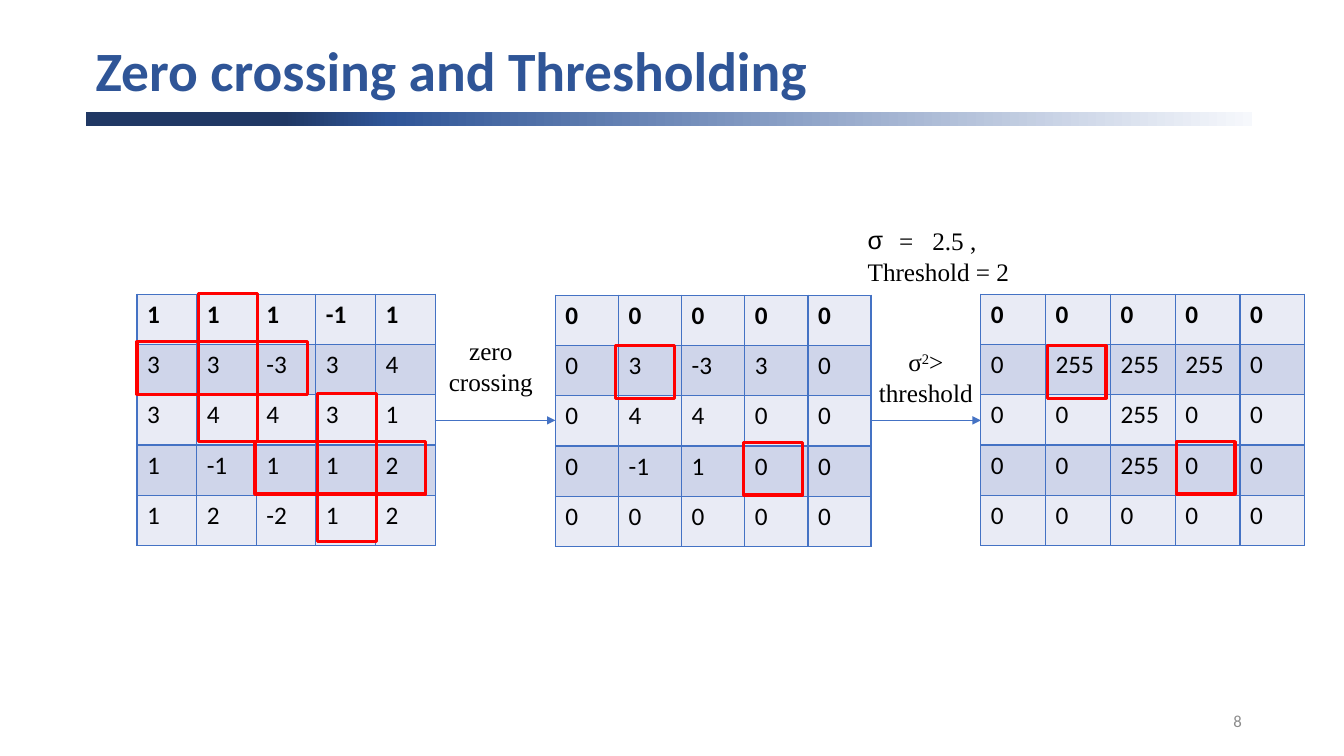
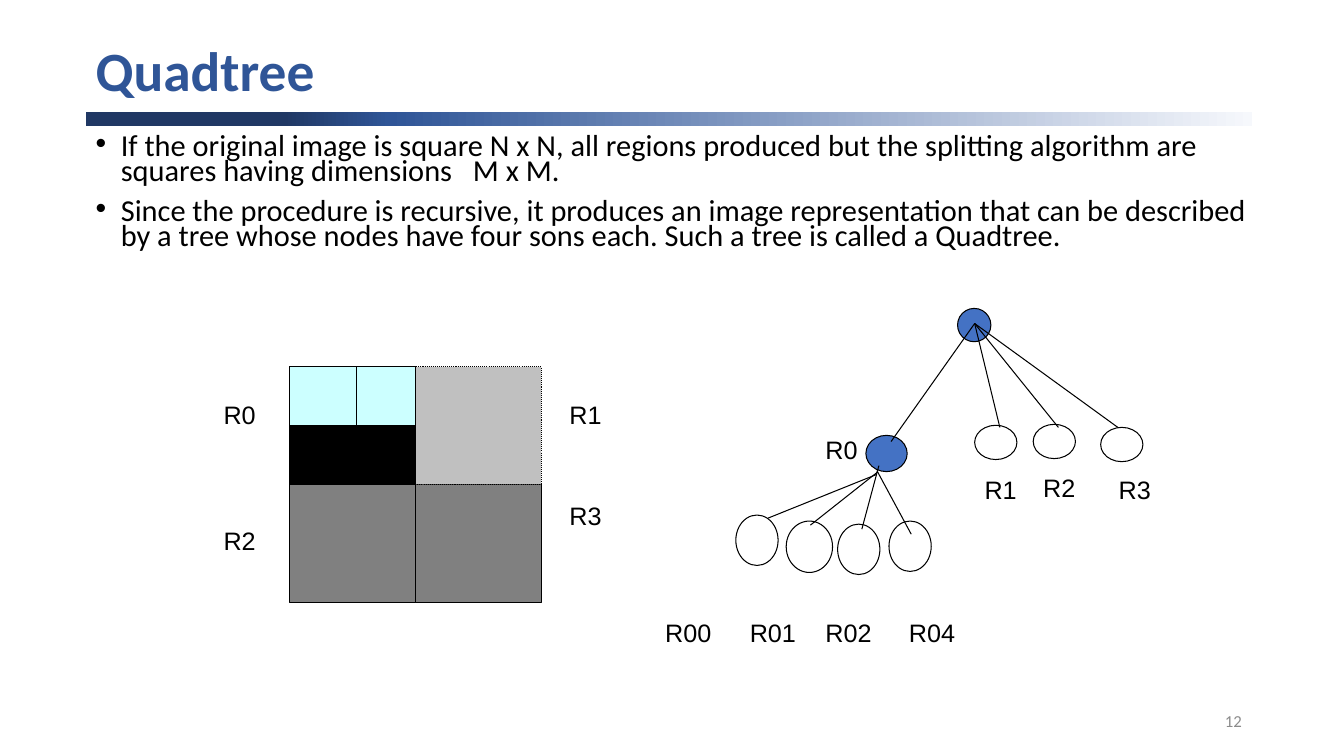
from lxml.etree import SubElement
from pptx import Presentation
from pptx.dml.color import RGBColor
from pptx.enum.dml import MSO_LINE
from pptx.enum.shapes import MSO_CONNECTOR, MSO_SHAPE
from pptx.enum.text import MSO_ANCHOR, PP_ALIGN
from pptx.oxml.ns import qn
from pptx.util import Pt


class Theme:
    navy, title, blue, pale = "203864", "2F5597", "4472C4", "F6F8FC"
    black, white, grey, red = "000000", "FFFFFF", "8C8C8C", "FF0000"
    light, dark = "E9EBF5", "CFD5EA"
    cyan, silver, stone = "CCFFFF", "C0C0C0", "808080"
    sans, serif, plain = "Calibri", "Times New Roman", "Arial"
    head, body, text, foot = 39.6, 21.7, 18, 12
    thin, line, edge, mark = 0.5, 0.75, 1, 2.25


# Content: number grids as (left, top, column width, rows)
GRIDS = [
    (97.9, 210.2, 42.6, ["1 1 1 -1 1", "3 3 -3 3 4", "3 4 4 3 1",
                         "1 -1 1 1 2", "1 2 -2 1 2"]),
    (396.7, 210.9, 45.1, ["0 0 0 0 0", "0 3 -3 3 0", "0 4 4 0 0",
                          "0 -1 1 0 0", "0 0 0 0 0"]),
    (700.6, 210.2, 46.3, ["0 0 0 0 0", "0 255 255 255 0", "0 0 255 0 0",
                          "0 0 255 0 0", "0 0 0 0 0"]),
]
ROW = 35.9
ARROWS = [(310.5, 396.7), (622, 700.6)]
ARROW_Y = 300.3

# Red marks: size, then corners
MARKS = [
    ((42, 106), [(141.8, 209.5), (226.8, 280.8)]),
    ((122, 37.5), [(97.9, 244.1), (182.2, 315.4)]),
    ((42, 37.5), [(439.9, 247), (531.4, 316.1), (748.1, 247), (840.2, 315.4)]),
]

# Runs are text, or text with run attributes
NOTES = [
    ((298.1, 236.2, 105, 52.6), ["zero", "crossing"], PP_ALIGN.CENTER, None),
    ((617.8, 244.1, 87, 51.1),
     [["σ", ("2", {"baseline": "30000"}), ">"], "threshold"],
     PP_ALIGN.CENTER, None),
    ((612.7, 157.7, 130, 51.1),
     [["=", (" ", {"spc": "900"}), "2.5 ,"], "Threshold = 2"],
     PP_ALIGN.LEFT, ("σ", 22.5, 1)),
]

POINTS = [
    ["If the original image is square N x N, all regions produced but the "
     "splitting algorithm are squares having dimensions",
     (" ", {"spc": "980"}), "M x M."],
    "Since the procedure is recursive, it produces an image representation "
    "that can be described by a tree whose nodes have four sons each. "
    "Such a tree is called a Quadtree.",
]

# Split square: corner, quadrant size, width of the first inner column
LEFT, TOP, WIDE, HIGH, INNER = 206.6, 262.1, 90, 84, 48

# Tree
NODES = [
    (Theme.white, [(525.6, 367.9, 30.2, 36), (635, 372.2, 30.2, 36),
                   (598.3, 374.4, 30.2, 36), (561.6, 372.2, 33.1, 36.7),
                   (696.2, 303.8, 30.2, 24.5), (738, 303.1, 30.2, 24.5),
                   (786.2, 305.3, 30.2, 24.5)]),
    (Theme.blue, [(684, 220.3, 23.8, 23.8), (618.5, 311, 29.5, 25.9)]),
]
ROOT = (696.2, 231.1)
EDGES = [(ROOT, end) for end in
         [(714.2, 305.3), (756, 305.3), (798.5, 305.3), (636.5, 315.4)]] + [
    ((625.7, 339.1), (548.6, 370.1)), ((627.1, 337), (578.9, 375.1)),
    ((627.8, 332.6), (615.6, 378)), ((626.4, 336.2), (650.9, 381.6)),
]
LABELS = [
    ("R0", 152.6, 282), ("R1", 399.6, 282), ("R2", 152.6, 372),
    ("R3", 399.6, 354), ("R0", 582.5, 306.5), ("R1", 696.2, 335.3),
    ("R2", 738, 334), ("R3", 792, 335.3), ("R00", 468, 437.6),
    ("R01", 528.5, 437.6), ("R02", 582.5, 437.6), ("R04", 642.2, 437.6),
]


def color(code):
    return RGBColor.from_string(code)


def style(font, face, size, code=Theme.black, bold=False):
    font.name, font.size, font.bold = face, Pt(size), bold
    font.color.rgb = color(code)


def write(page, area, lines, face, size, code=Theme.black, bold=False,
          align=PP_ALIGN.LEFT, anchor=MSO_ANCHOR.TOP, bullet=None,
          space=None, before=None):
    """Add a text box; bullet is (sign, indent, number of paragraphs)."""
    frame = page.shapes.add_textbox(*map(Pt, area)).text_frame
    frame.word_wrap, frame.vertical_anchor = True, anchor
    for i, line in enumerate(lines):
        para = frame.paragraphs[0] if i == 0 else frame.add_paragraph()
        for item in [line] if isinstance(line, str) else line:
            text, extra = (item, {}) if isinstance(item, str) else item
            run = para.add_run()
            run.text = text
            for key, value in extra.items():
                run._r.get_or_add_rPr().set(key, value)
        if bullet and i < bullet[2]:
            props = para._p.get_or_add_pPr()
            props.set("marL", str(Pt(bullet[1])))
            props.set("indent", str(-Pt(bullet[1])))
            SubElement(props, qn("a:buFont")).set("typeface", Theme.plain)
            SubElement(props, qn("a:buChar")).set("char", bullet[0])
        para.alignment = align
        if space:
            para.line_spacing = space
        if before:
            para.space_before = Pt(before)
        style(para.font, face, size, code, bold)


def draw(page, kind, area, fill=None, edge=Theme.black, width=Theme.line):
    shape = page.shapes.add_shape(kind, *map(Pt, area))
    shape.shadow.inherit = False
    if fill:
        shape.fill.solid()
        shape.fill.fore_color.rgb = color(fill)
    else:
        shape.fill.background()
    shape.line.color.rgb = color(edge)
    shape.line.width = Pt(width)
    return shape


def link(page, start, end, code=Theme.black, width=Theme.line, arrow=False):
    line = page.shapes.add_connector(MSO_CONNECTOR.STRAIGHT,
                                     *map(Pt, start + end))
    line.line.color.rgb = color(code)
    line.line.width = Pt(width)
    if arrow:
        tip = SubElement(line.line._get_or_add_ln(), qn("a:tailEnd"))
        tip.set("type", "triangle")
    SubElement(line._element.spPr, qn("a:effectLst"))


def band(page):
    shape = page.shapes.add_shape(MSO_SHAPE.RECTANGLE,
                                  *map(Pt, (61.2, 79.9, 833, 10)))
    shape.shadow.inherit = False
    shape.line.fill.background()
    shape.fill.gradient()
    shape.fill.gradient_angle = 0
    stops = shape._element.spPr.find(".//" + qn("a:gsLst"))
    stops.clear()
    for place, code in [(0, Theme.navy), (17, Theme.navy),
                        (26, Theme.title), (100, Theme.pale)]:
        stop = SubElement(stops, qn("a:gs"), pos=str(place * 1000))
        SubElement(stop, qn("a:srgbClr"), val=code)


def start(deck, title, number):
    """Add a slide with the shared band, title and page number."""
    page = deck.slides.add_slide(deck.slide_layouts[6])
    band(page)
    write(page, (61.2, 28.8, 874, 47.5), [title], Theme.sans, Theme.head,
          Theme.title, True, anchor=MSO_ANCHOR.MIDDLE, space=0.9)
    write(page, (678.2, 500.4, 216, 28.8), [number], Theme.sans, Theme.foot,
          Theme.grey, align=PP_ALIGN.RIGHT, anchor=MSO_ANCHOR.MIDDLE)
    return page


def border(cell):
    props = cell._tc.get_or_add_tcPr()
    for i, side in enumerate(("lnL", "lnR", "lnT", "lnB")):
        line = props.makeelement(qn("a:" + side), {"w": str(Pt(Theme.edge))})
        fill = SubElement(line, qn("a:solidFill"))
        SubElement(fill, qn("a:srgbClr"), val=Theme.blue)
        props.insert(i, line)


def grid(page, left, top, width, rows):
    cells = [row.split() for row in rows]
    high, wide = len(cells), len(cells[0])
    table = page.shapes.add_table(high, wide, Pt(left), Pt(top),
                                  Pt(width * wide), Pt(ROW * high)).table
    for col in table.columns:
        col.width = Pt(width)
    for r, row in enumerate(cells):
        table.rows[r].height = Pt(ROW)
        for c, value in enumerate(row):
            cell = table.cell(r, c)
            cell.text = value
            cell.fill.solid()
            cell.fill.fore_color.rgb = color((Theme.light, Theme.dark)[r % 2])
            style(cell.text_frame.paragraphs[0].font, Theme.sans, Theme.text,
                  bold=r == 0)
            border(cell)


def crossing(deck):
    page = start(deck, "Zero crossing and Thresholding", "8")
    for item in GRIDS:
        grid(page, *item)
    for left, right in ARROWS:
        link(page, (left, ARROW_Y), (right, ARROW_Y), Theme.blue, Theme.thin,
             True)
    for size, spots in MARKS:
        for spot in spots:
            draw(page, MSO_SHAPE.RECTANGLE, spot + size, None, Theme.red,
                 Theme.mark)
    for area, lines, align, bullet in NOTES:
        write(page, area, lines, Theme.serif, Theme.text, align=align,
              bullet=bullet)


def quadtree(deck):
    page = start(deck, "Quadtree", "12")
    write(page, (61.2, 93.6, 843.8, 100), POINTS, Theme.sans, Theme.body,
          bullet=("•", 18, 2), space=0.7, before=10)
    # Quadrants, then the four parts of the first one
    for col, row, fill in [(0, 1, Theme.stone), (1, 1, Theme.stone),
                           (1, 0, Theme.silver)]:
        box = draw(page, MSO_SHAPE.RECTANGLE,
                   (LEFT + col * WIDE, TOP + row * HIGH, WIDE, HIGH), fill)
        if fill == Theme.silver:
            box.line.dash_style = MSO_LINE.ROUND_DOT
    for row, fill in enumerate((Theme.cyan, Theme.black)):
        for shift, width in ((0, INNER), (INNER, WIDE - INNER)):
            draw(page, MSO_SHAPE.RECTANGLE,
                 (LEFT + shift, TOP + row * HIGH / 2, width, HIGH / 2), fill)
    # Tree and labels
    for fill, areas in NODES:
        for area in areas:
            draw(page, MSO_SHAPE.OVAL, area, fill)
    for begin, end in EDGES:
        link(page, begin, end)
    for text, left, top in LABELS:
        write(page, (left, top, 54, 28.8), [text], Theme.plain, Theme.text)


def main():
    deck = Presentation()
    deck.slide_width, deck.slide_height = Pt(960), Pt(540)
    crossing(deck)
    quadtree(deck)
    deck.save("out.pptx")


if __name__ == "__main__":
    main()
